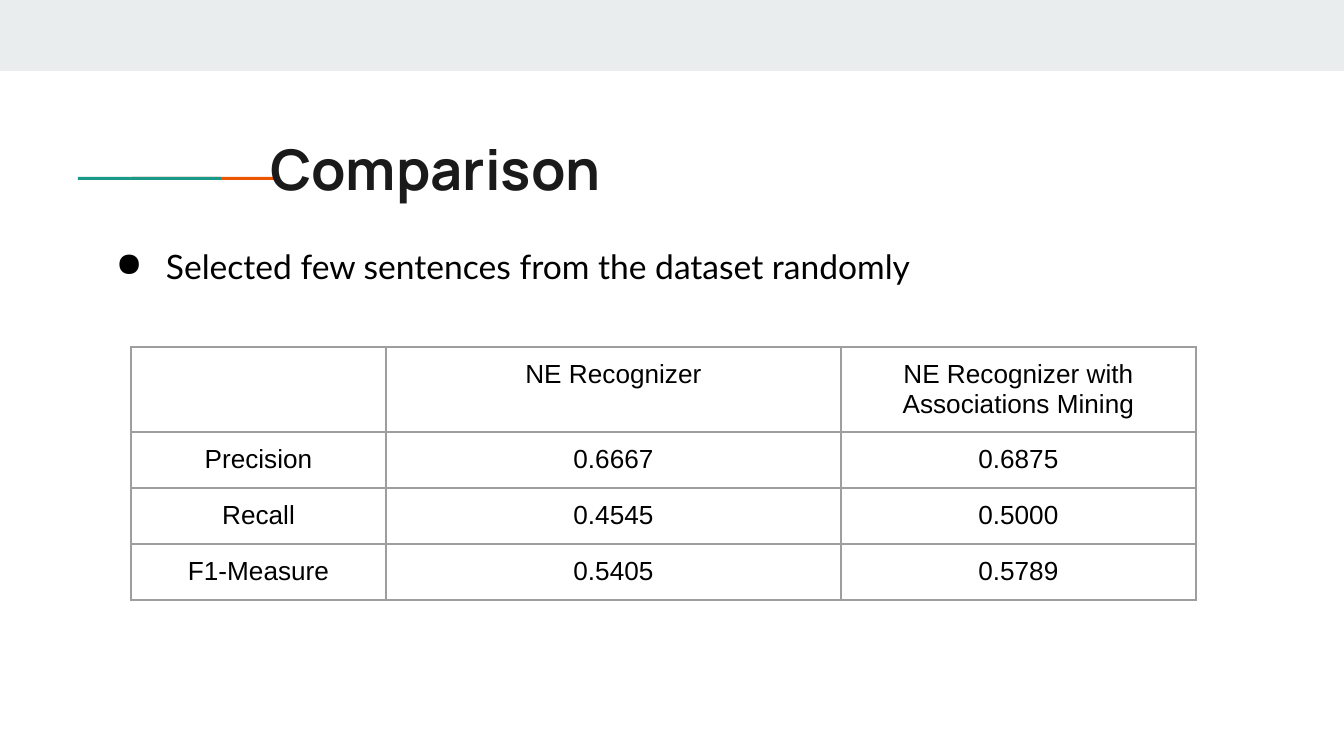
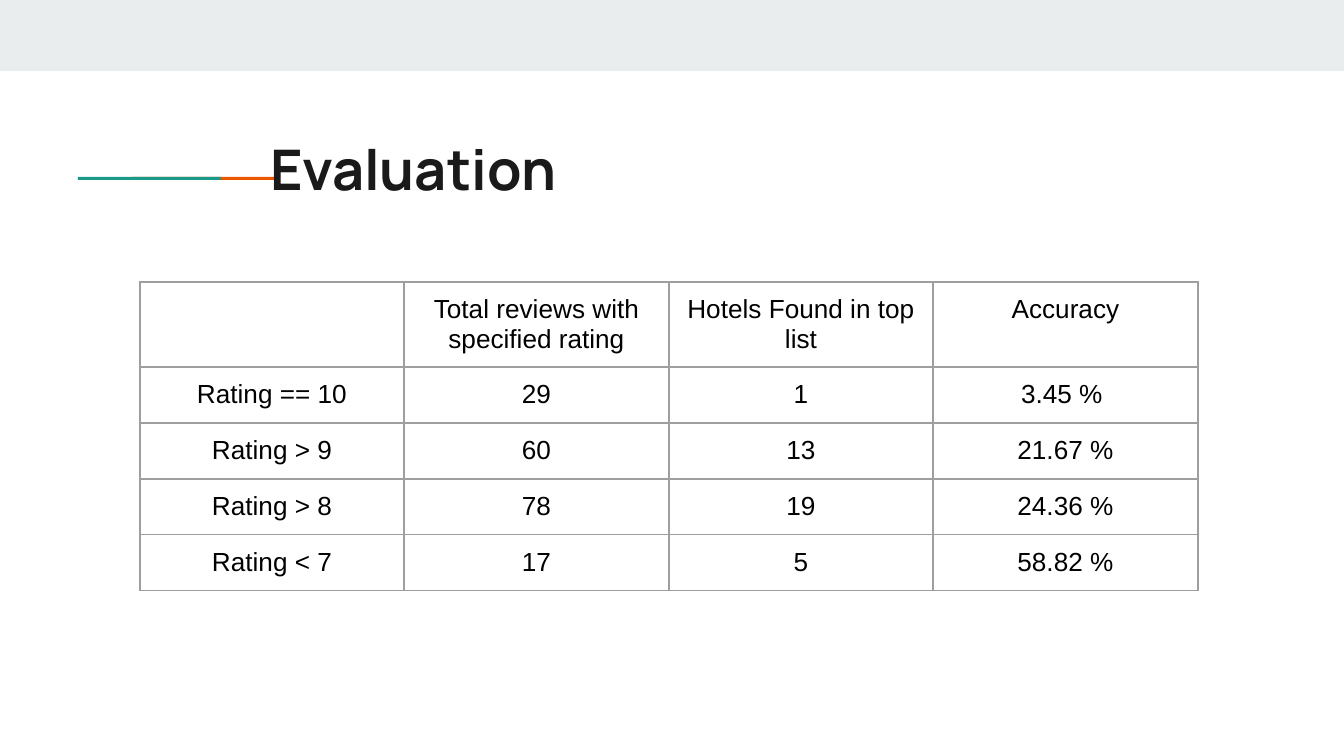
"""Build two slides that report recognizer and rating results in tables."""
import pptx
import pptx.dml.color
import pptx.enum.shapes
import pptx.enum.text
import pptx.oxml
import pptx.oxml.ns
import pptx.util
from lxml import etree

RGBColor = pptx.dml.color.RGBColor
BLACK = RGBColor(0x00, 0x00, 0x00)
INK = RGBColor(0x1A, 0x1A, 0x1A)
BAND_GREY = RGBColor(0xE9, 0xED, 0xEE)
ORANGE = RGBColor(0xEB, 0x56, 0x00)
TEAL = RGBColor(0x1A, 0x99, 0x88)
BORDER_GREY = RGBColor(0x9E, 0x9E, 0x9E)

EMU_PER_PX = 914400 / 134.4
SLIDE_WIDTH, SLIDE_HEIGHT = 1344, 756
INSET = 13
HEADER_HEIGHT, ROW_HEIGHT = 85, 56

DECORATIONS = [
    ((0, 0, SLIDE_WIDTH, 71), BAND_GREY),
    ((132, 177, 143, 3), ORANGE),
    ((78, 177, 143, 3), TEAL),
]
TITLE_AREA = (257, 121, 1005, 103)
BULLET_AREA = (86, 227, 1155, 437)

TITLE_FONT = {"name": "Manrope", "size": pptx.util.Pt(30), "bold": True}
BULLET_FONT = {"name": "Lato", "size": pptx.util.Pt(18), "bold": False}
CELL_FONT = {"name": "Arial", "size": pptx.util.Pt(14), "bold": False}

SLIDES = [
    {
        "title": "Comparison",
        "bullet": "Selected few sentences from the dataset randomly",
        "corner": (131, 347),
        "columns": (255, 455, 355),
        "rows": [
            ("", "NE Recognizer", "NE Recognizer with Associations Mining"),
            ("Precision", "0.6667", "0.6875"),
            ("Recall", "0.4545", "0.5000"),
            ("F1-Measure", "0.5405", "0.5789"),
        ],
    },
    {
        "title": "Evaluation",
        "corner": (140, 282),
        "columns": (264, 265, 264, 265),
        "rows": [
            ("", "Total reviews with specified rating", "Hotels Found in top list", "Accuracy"),
            ("Rating == 10", "29", "1", "3.45 % "),
            ("Rating > 9", "60", "13", "21.67 %"),
            ("Rating > 8", "78", "19", "24.36 %"),
            ("Rating < 7", "17", "5", "58.82 %"),
        ],
    },
]


def px(length):
    return pptx.util.Emu(round(length * EMU_PER_PX))


def apply(target, values):
    for name, value in values.items():
        setattr(target, name, value)


def write(frame, text, font, color, alignment):
    frame.text = text
    para = frame.paragraphs[0]
    para.alignment = alignment
    for span in para.runs:
        apply(span.font, font)
        span.font.color.rgb = color
    return para


def format_frame(frame):
    sides = ("margin_left", "margin_top", "margin_right", "margin_bottom")
    apply(frame, dict.fromkeys(sides, px(INSET)))
    apply(frame, {
        "word_wrap": True,
        "auto_size": pptx.enum.text.MSO_AUTO_SIZE.NONE,
        "vertical_anchor": pptx.enum.text.MSO_ANCHOR.TOP,
    })


def add_decorations(page):
    for area, color in DECORATIONS:
        shape = page.shapes.add_shape(
            pptx.enum.shapes.MSO_SHAPE.RECTANGLE, *map(px, area))
        shape.shadow.inherit = False
        shape.fill.solid()
        shape.fill.fore_color.rgb = color
        shape.line.fill.background()


def set_title(page, text):
    title = page.shapes.title
    title.element.getparent().append(title.element)
    apply(title, dict(zip(("left", "top", "width", "height"), map(px, TITLE_AREA))))
    format_frame(title.text_frame)
    write(title.text_frame, text, TITLE_FONT, INK, pptx.enum.text.PP_ALIGN.LEFT)


def add_bullet(page, text):
    box = page.shapes.add_textbox(*map(px, BULLET_AREA))
    format_frame(box.text_frame)
    para = write(box.text_frame, text, BULLET_FONT, BLACK, pptx.enum.text.PP_ALIGN.LEFT)
    para.line_spacing = 1.15
    properties = para._p.get_or_add_pPr()
    properties.set("marL", str(px(67)))
    properties.set("indent", str(-px(50)))
    qn = pptx.oxml.ns.qn
    bullet_color = etree.SubElement(properties, qn("a:buClr"))
    etree.SubElement(bullet_color, qn("a:srgbClr"), val=str(BLACK))
    etree.SubElement(properties, qn("a:buChar"), char="●")


def add_borders(cell):
    properties = cell._tc.get_or_add_tcPr()
    qn = pptx.oxml.ns.qn
    for side in ("L", "R", "T", "B"):
        line = etree.SubElement(properties, qn("a:ln" + side), w=str(pptx.util.Pt(0.75)))
        fill = etree.SubElement(line, qn("a:solidFill"))
        etree.SubElement(fill, qn("a:srgbClr"), val=str(BORDER_GREY))


def add_results(page, corner, columns, rows):
    heights = [HEADER_HEIGHT] + [ROW_HEIGHT] * (len(rows) - 1)
    area = (*corner, sum(columns), sum(heights))
    table = page.shapes.add_table(len(rows), len(columns), *map(px, area)).table
    apply(table, {"first_row": False, "horz_banding": False})
    for column, width in zip(table.columns, columns):
        column.width = px(width)
    for row, height, texts in zip(table.rows, heights, rows):
        row.height = px(height)
        for cell, text in zip(row.cells, texts):
            sides = ("margin_left", "margin_top", "margin_right", "margin_bottom")
            apply(cell, dict.fromkeys(sides, px(INSET)))
            add_borders(cell)
            cell.fill.background()
            write(cell.text_frame, text, CELL_FONT, BLACK, pptx.enum.text.PP_ALIGN.CENTER)


def main():
    deck = pptx.Presentation()
    apply(deck, {"slide_width": px(SLIDE_WIDTH), "slide_height": px(SLIDE_HEIGHT)})
    layout = deck.slide_layouts.get_by_name("Title Only")
    for content in SLIDES:
        page = deck.slides.add_slide(layout)
        add_decorations(page)
        set_title(page, content["title"])
        if "bullet" in content:
            add_bullet(page, content["bullet"])
        add_results(page, content["corner"], content["columns"], content["rows"])
    deck.save("out.pptx")


if __name__ == "__main__":
    main()
